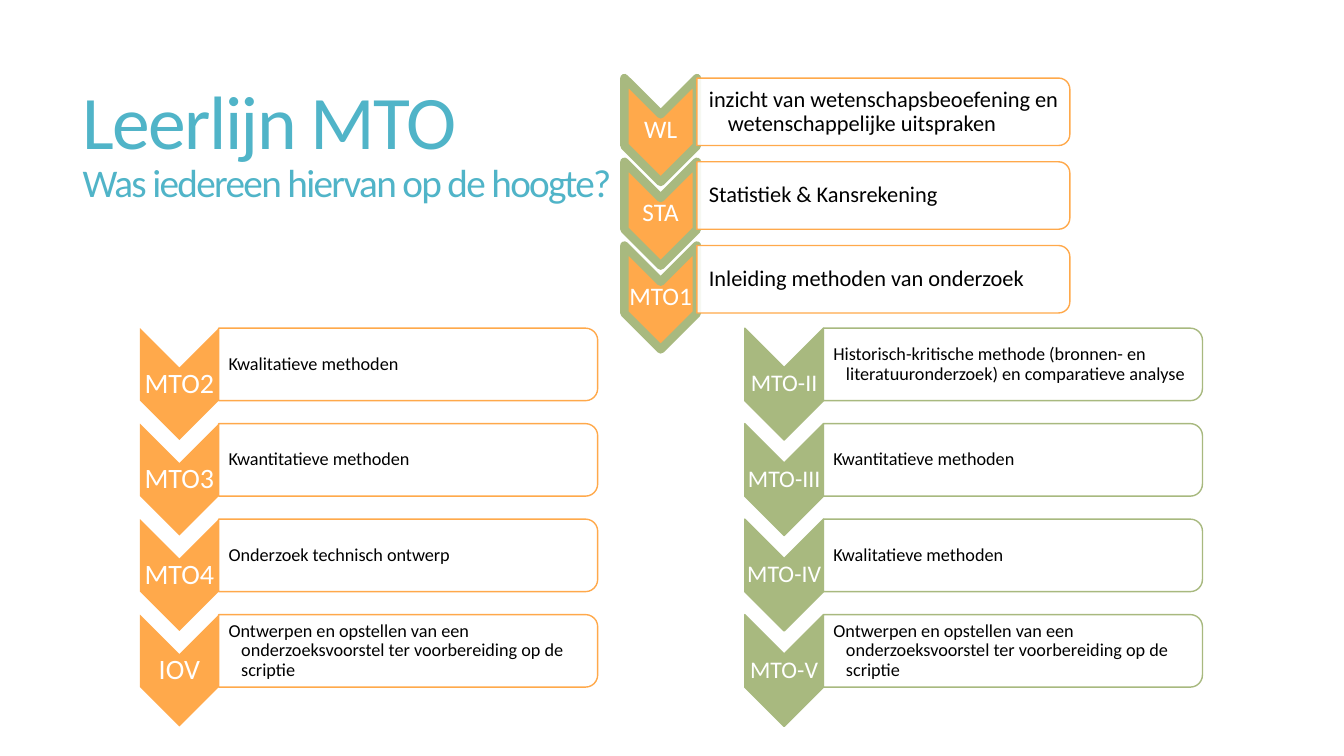
from pptx import Presentation
from pptx.dml.color import RGBColor
from pptx.enum.shapes import MSO_SHAPE
from pptx.enum.text import MSO_ANCHOR, MSO_AUTO_SIZE, PP_ALIGN
from pptx.oxml.ns import qn
from pptx.util import Pt
from lxml.etree import SubElement

COLORS = {"title": "50B4C8", "orange": "FFA94B", "green": "A8B97F",
          "white": "FFFFFF", "black": "000000"}

PROPOSAL = "Ontwerpen en opstellen van een onderzoeksvoorstel ter voorbereiding op de scriptie"

COLUMN = {"top": 234.4, "pitch": 68.2, "chevron": (56.2, 79.9), "box": (270.7, 51.8),
          "text": (267.8, 46.8), "label_height": 23.8, "text_size": 13,
          "inset": 7.2, "hang": 9}
FOUNDATION = {"top": 55.8, "pitch": 59.8, "chevron": (51.8, 74.2), "box": (266.4, 48.2),
              "text": (264.2, 43.9), "label_height": 22.3, "text_size": 16,
              "inset": 8.6, "hang": 13.5}

LISTS = [
    {**COLUMN, "left": 100, "fill": "orange", "edge": None, "edge_width": 0,
     "box_line": "orange", "label_size": 20,
     "rows": [("MTO2", "Kwalitatieve methoden"),
              ("MTO3", "Kwantitatieve methoden"),
              ("MTO4", "Onderzoek technisch ontwerp"),
              ("IOV", PROPOSAL)]},
    {**COLUMN, "left": 532, "fill": "green", "edge": "green", "edge_width": 1,
     "box_line": "green", "label_size": 17,
     "rows": [("MTO-II", "Historisch-kritische methode (bronnen- en literatuuronderzoek) "
                         "en comparatieve analyse"),
              ("MTO-III", "Kwantitatieve methoden"),
              ("MTO-IV", "Kwalitatieve methoden"),
              ("MTO-V", PROPOSAL)]},
    {**FOUNDATION, "left": 446, "fill": "orange", "edge": "green", "edge_width": 6,
     "box_line": "orange", "label_size": 18,
     "rows": [("WL", "inzicht van wetenschapsbeoefening en wetenschappelijke uitspraken"),
              ("STA", "Statistiek & Kansrekening"),
              ("MTO1", "Inleiding methoden van onderzoek")]},
]


def rgb(name):
    return RGBColor.from_string(COLORS[name])


def apply(target, formats):
    for name, value in formats.items():
        setattr(target, name, value)


def add_run(p, text, size, color):
    r = p.add_run()
    r.text = text
    apply(r.font, {"name": "Calibri", "size": Pt(size)})
    r.font.color.rgb = rgb(color)
    return r


def add_title(s):
    title = s.shapes.title
    apply(title, {"left": Pt(51.8), "top": Pt(39.6), "width": Pt(848.2), "height": Pt(130.3)})
    tf = title.text_frame
    apply(tf, {"vertical_anchor": MSO_ANCHOR.MIDDLE, "auto_size": MSO_AUTO_SIZE.NONE,
               "word_wrap": True})
    p = tf.paragraphs[0]
    apply(p, {"alignment": PP_ALIGN.LEFT, "line_spacing": 0.85})
    heading = add_run(p, "Leerlijn MTO", 54, "title")
    p.add_line_break()
    question = add_run(p, "Was iedereen hiervan op de hoogte?", 28, "title")
    for r in (heading, question):
        r.font._element.set("spc", "-120")


def add_turned_shape(group, kind, left, top, size, fill, line, line_width):
    width, height = size
    x = left + (width - height) / 2
    y = top + (height - width) / 2
    sp = group.shapes.add_shape(kind, Pt(x), Pt(y), Pt(height), Pt(width))
    sp.rotation = 90
    sp.shadow.inherit = False
    sp.fill.solid()
    sp.fill.fore_color.rgb = rgb(fill)
    if line:
        sp.line.color.rgb = rgb(line)
        sp.line.width = Pt(line_width)
    else:
        sp.line.fill.background()
    return sp


def make_translucent(sp, percent):
    color = sp._element.spPr.find(qn("a:solidFill"))[0]
    SubElement(color, qn("a:alpha"), val=str(percent * 1000))


def add_text(group, left, middle, size, text, font_size, color, inset, alignment):
    width, height = size
    sp = group.shapes.add_textbox(Pt(left), Pt(middle - height / 2), Pt(width), Pt(height))
    tf = sp.text_frame
    apply(tf, {"word_wrap": True, "vertical_anchor": MSO_ANCHOR.MIDDLE,
               "margin_left": Pt(inset), "margin_top": Pt(0.7),
               "margin_right": Pt(0.7), "margin_bottom": Pt(0.7)})
    p = tf.paragraphs[0]
    apply(p, {"alignment": alignment, "line_spacing": 0.9})
    add_run(p, text, font_size, color)
    return p


def add_hanging_indent(p, hang):
    pPr = p._p.get_or_add_pPr()
    pPr.set("marL", str(Pt(hang)))
    pPr.set("indent", str(Pt(-hang)))


def add_row(group, course, top, label, description):
    left = course["left"]
    width, height = course["chevron"]
    box_left = left + width
    add_turned_shape(group, MSO_SHAPE.CHEVRON, left, top, course["chevron"],
                     course["fill"], course["edge"], course["edge_width"])
    add_text(group, left, top + height / 2, (width, course["label_height"]), label,
             course["label_size"], "white", 0.7, PP_ALIGN.CENTER)
    box = add_turned_shape(group, MSO_SHAPE.ROUND_2_SAME_RECTANGLE, box_left, top,
                           course["box"], "white", course["box_line"], 1)
    make_translucent(box, 90)
    p = add_text(group, box_left, top + course["box"][1] / 2, course["text"], description,
                 course["text_size"], "black", course["inset"], PP_ALIGN.LEFT)
    add_hanging_indent(p, course["hang"])


def add_chevron_list(s, course):
    group = s.shapes.add_group_shape()
    for i, (label, description) in enumerate(course["rows"]):
        add_row(group, course, course["top"] + i * course["pitch"], label, description)


def main():
    prs = Presentation()
    apply(prs, {"slide_width": Pt(960), "slide_height": Pt(540)})
    s = prs.slides.add_slide(prs.slide_layouts[5])
    add_title(s)
    for course in LISTS:
        add_chevron_list(s, course)
    prs.save("out.pptx")


if __name__ == "__main__":
    main()
